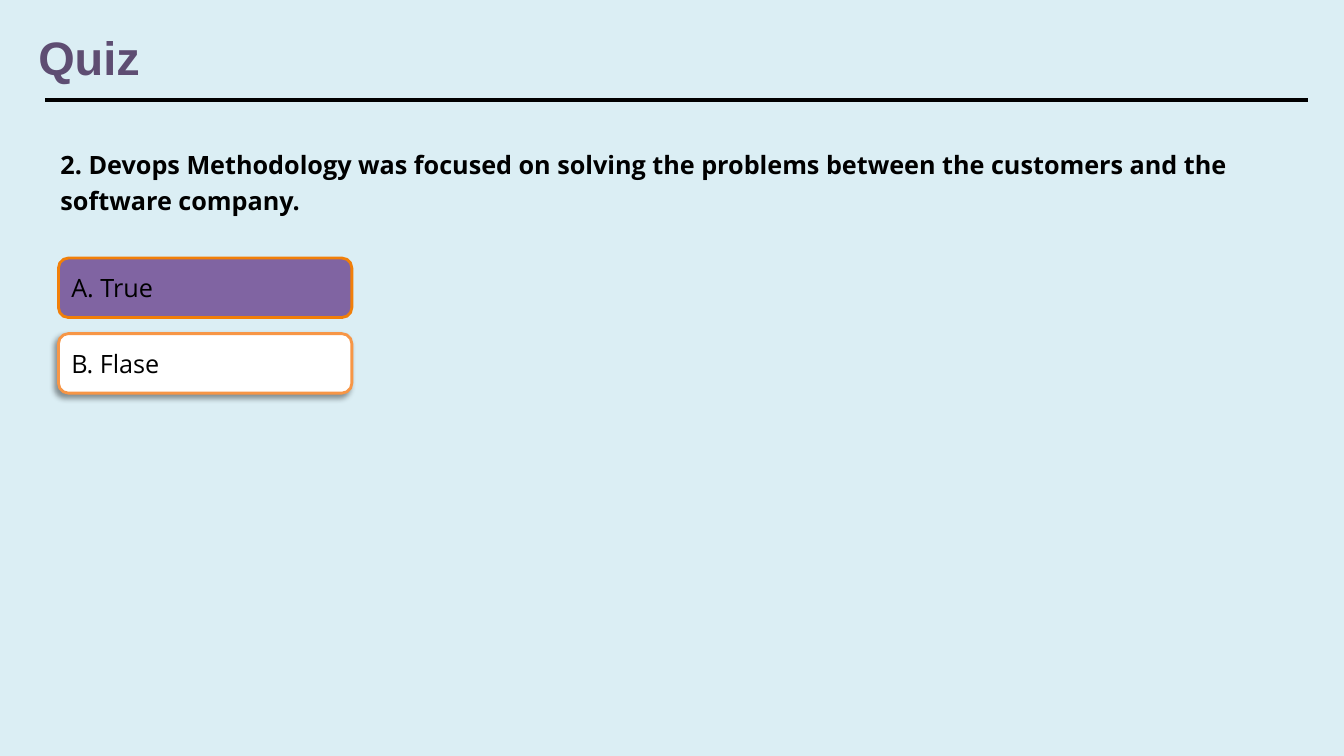
from lxml.etree import SubElement
from pptx import Presentation
from pptx.dml.color import RGBColor
from pptx.enum.shapes import MSO_CONNECTOR, MSO_SHAPE
from pptx.enum.text import MSO_ANCHOR, MSO_AUTO_SIZE, PP_ALIGN
from pptx.oxml.ns import qn
from pptx.util import Inches, Pt

COLORS = {
    "sky": "DBEEF4",
    "ink": "000000",
    "plum": "5E4D72",
    "violet": "8064A2",
    "white": "FFFFFF",
    "orange": "F17F09",
    "peach": "F79646",
}


def color(name):
    """Return the named colour."""
    return RGBColor.from_string(COLORS[name])


class Quiz:
    """Draws quiz elements on one slide."""

    def __init__(self, slide):
        """Keep the slide and set its style."""
        self.slide = slide
        self.font = "Open Sans"
        self.size = 18
        fill = slide.background.fill
        fill.solid()
        fill.fore_color.rgb = color("sky")

    def add(self, para, text, size=None, font=None, tint="ink", bold=False):
        """Add one styled run to a paragraph."""
        run = para.add_run()
        run.text = text
        run.font.name = font or self.font
        run.font.size = Pt(size or self.size)
        run.font.bold = bold
        run.font.color.rgb = color(tint)

    def text(self, box, text, top, lines=1, **style):
        """Add a bold wrapped text box."""
        shape = self.slide.shapes.add_textbox(*map(Inches, box))
        frame = shape.text_frame
        frame.word_wrap = True
        frame.auto_size = MSO_AUTO_SIZE.SHAPE_TO_FIT_TEXT
        frame.margin_left = frame.margin_right = frame.margin_bottom = 0
        frame.margin_top = Inches(top)
        para = frame.paragraphs[0]
        para.line_spacing = lines
        para._p.get_or_add_pPr().set("marL", str(Inches(0.01)))
        self.add(para, text, bold=True, **style)

    def rule(self, left, top, right):
        """Add the heavy line under the title."""
        ends = map(Inches, (left, top, right, top))
        line = self.slide.shapes.add_connector(MSO_CONNECTOR.STRAIGHT, *ends)
        line.line.color.rgb = color("ink")
        line.line.width = Pt(3)
        SubElement(line._element.spPr, qn("a:effectLst"))

    def shade(self, shape):
        """Give a shape a soft shadow to the lower left."""
        effects = shape._element.spPr.find(qn("a:effectLst"))
        outer = SubElement(effects, qn("a:outerShdw"), blurRad=str(Pt(4)),
                           dist=str(Pt(3)), dir=str(135 * 60000),
                           algn="tr", rotWithShape="0")
        tint = SubElement(outer, qn("a:srgbClr"), val=COLORS["ink"])
        SubElement(tint, qn("a:alpha"), val="40000")

    def answer(self, top, text, fill, edge, raised=False):
        """Add one answer button."""
        box = map(Inches, (0.58, top, 2.91, 0.59))
        shape = self.slide.shapes.add_shape(MSO_SHAPE.ROUNDED_RECTANGLE, *box)
        shape.shadow.inherit = False
        if raised:
            self.shade(shape)
        shape.fill.solid()
        shape.fill.fore_color.rgb = color(fill)
        shape.line.color.rgb = color(edge)
        shape.line.width = Pt(2)
        frame = shape.text_frame
        frame.word_wrap = True
        frame.vertical_anchor = MSO_ANCHOR.MIDDLE
        para = frame.paragraphs[0]
        para.alignment = PP_ALIGN.LEFT
        self.add(para, text)


def main():
    """Build and save the quiz slide."""
    deck = Presentation()
    deck.slide_width, deck.slide_height = Inches(13.33), Inches(7.5)
    quiz = Quiz(deck.slides.add_slide(deck.slide_layouts[6]))
    quiz.rule(0.45, 0.99, 12.97)
    quiz.text((0.37, 0.24, 1.3, 0.58), "Quiz", 0.04,
              size=33.5, font="Arial", tint="plum")
    quiz.text((0.59, 1.4, 11.88, 0.71),
              "2. Devops Methodology was focused on solving the problems "
              "between the customers and the software company.",
              0.02, lines=1.2)
    quiz.answer(3.31, "B. Flase", "white", "peach", raised=True)
    quiz.answer(2.56, "A. True", "violet", "orange")
    deck.save("out.pptx")


if __name__ == "__main__":
    main()
